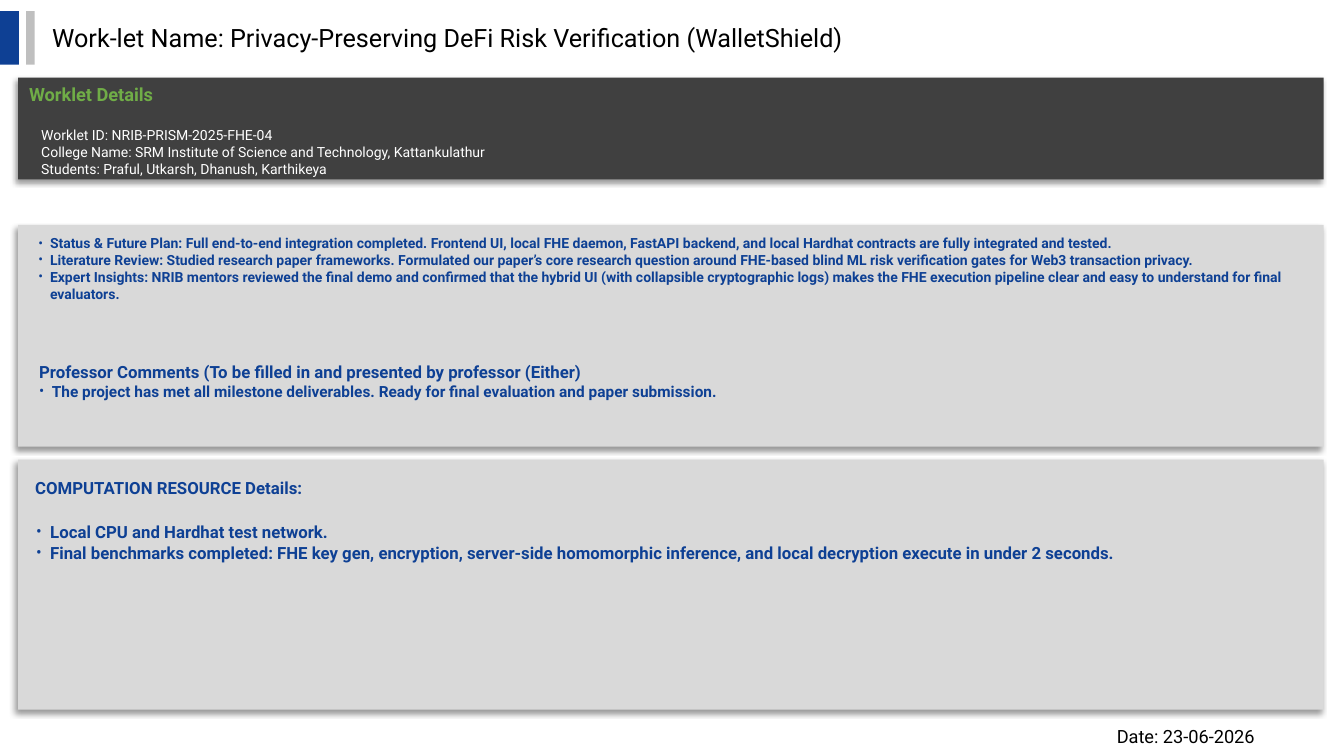
from lxml import etree
from pptx import Presentation
from pptx.dml.color import RGBColor
from pptx.enum import shapes, text
from pptx.oxml import ns
from pptx.util import Pt

FONT = "Roboto"
COLORS = {
    "blue": "0E4094", "silver": "BFBFBF", "charcoal": "404040", "panel": "D9D9D9",
    "green": "70AD47", "white": "FFFFFF", "black": "000000",
}


def color(name):
    return RGBColor.from_string(COLORS[name])


def add_bar(slide, box, fill):
    bar = slide.shapes.add_shape(shapes.MSO_SHAPE.RECTANGLE, *map(Pt, box))
    bar.shadow.inherit = False
    bar.fill.solid()
    bar.fill.fore_color.rgb = color(fill)
    bar.line.fill.background()
    return bar


def add_panel(slide, box, fill):
    """Borderless rectangle with a soft shadow to the lower left."""
    panel = add_bar(slide, box, fill)
    effects = panel.element.spPr.find(ns.qn("a:effectLst"))
    shadow = etree.SubElement(effects, ns.qn("a:outerShdw"), blurRad=str(Pt(4)), dist=str(Pt(3)),
                              dir=str(135 * 60000), algn="tr", rotWithShape="0")
    tint = etree.SubElement(shadow, ns.qn("a:srgbClr"), val=COLORS["black"])
    etree.SubElement(tint, ns.qn("a:alpha"), val="40000")
    return panel


def set_bullet(paragraph, size):
    """Hang the paragraph on a round bullet, with a gap in step with the text size."""
    hang = Pt(round(size * 0.83, 1))
    props = paragraph._p.get_or_add_pPr()
    props.set("marL", str(hang))
    props.set("indent", str(-hang))
    etree.SubElement(props, ns.qn("a:buFont"), typeface=FONT)
    etree.SubElement(props, ns.qn("a:buChar"), char="•")


def write(holder, lines, ink, size, bold=False, bullets=False, anchor="TOP", insets=(7.2, 3.6)):
    """Add lines to a shape; insets are left and top."""
    frame = holder.text_frame
    frame.word_wrap = True
    frame.vertical_anchor = text.MSO_ANCHOR[anchor]
    frame.margin_left, frame.margin_top = map(Pt, insets)
    frame.margin_right, frame.margin_bottom = Pt(7.2), Pt(3.6)
    for index, line in enumerate(lines):
        paragraph = frame.paragraphs[0] if index == 0 else frame.add_paragraph()
        paragraph.alignment = text.PP_ALIGN.LEFT
        if bullets:
            set_bullet(paragraph, size)
        run = paragraph.add_run()
        run.text = line
        run.font.name, run.font.size, run.font.bold = FONT, Pt(size), bold
        run.font.color.rgb = color(ink)


def add_text(slide, box, lines, ink, size, **style):
    write(slide.shapes.add_textbox(*map(Pt, box)), lines, ink, size, **style)


def add_header(slide, box, title):
    left, top, width, height = box
    add_bar(slide, (left, top, 13.5, height), "blue")
    add_bar(slide, (left + 18.7, top, 6, height), "silver")
    add_text(slide, (left + 30.2, top, width - 30.2, height), [title], "black", 18, anchor="MIDDLE")


def add_worklet_details(slide, box, heading, details):
    left, top, width, height = box
    add_panel(slide, box, "charcoal")
    add_text(slide, (left + 0.7, top + 0.8, 173, 28.8), [heading], "green", 13, bold=True)
    add_text(slide, (left + 9.4, top + 31.7, width - 32, height - 33), details, "white", 10)


def add_status(slide, box, updates, comment_heading, comments):
    left, top, width, height = box
    panel = add_panel(slide, box, "panel")
    write(panel, updates, "blue", 10, bold=True, bullets=True, insets=(14.4, 7.2))
    inner_left, inner_width = left + 7.9, width - 18
    add_text(slide, (inner_left, top + 95, inner_width, 20), [comment_heading], "blue", 12,
             bold=True, insets=(7.2, 2.9))
    add_text(slide, (inner_left, top + 109, inner_width, 25), comments, "blue", 11,
             bold=True, bullets=True)


def add_resources(slide, box, heading, resources):
    left, top, width, height = box
    add_panel(slide, box, "panel")
    add_text(slide, (left + 5, top + 9.4, 254, 28.8), [heading], "blue", 12, bold=True)
    add_text(slide, (left + 5.8, top + 41.8, width - 32, 59), resources, "blue", 12,
             bold=True, bullets=True, insets=(7.2, 2.9))


def main():
    deck = Presentation()
    deck.slide_width, deck.slide_height = Pt(960), Pt(540)
    slide = deck.slides.add_slide(deck.slide_layouts[6])
    left, width = 13, 932.4

    add_header(slide, (0, 8, 819, 38.2),
               "Work-let Name: Privacy-Preserving DeFi Risk Verification (WalletShield)")
    add_worklet_details(slide, (left, 55.4, width, 72.7), "Worklet Details", [
        "Worklet ID: NRIB-PRISM-2025-FHE-04",
        "College Name: SRM Institute of Science and Technology, Kattankulathur",
        "Students: Praful, Utkarsh, Dhanush, Karthikeya",
    ])
    add_status(slide, (left, 160.6, width, 158.4), [
        "Status & Future Plan: Full end-to-end integration completed. Frontend UI, local FHE "
        "daemon, FastAPI backend, and local Hardhat contracts are fully integrated and tested.",
        "Literature Review: Studied research paper frameworks. Formulated our paper’s core "
        "research question around FHE-based blind ML risk verification gates for Web3 "
        "transaction privacy.",
        "Expert Insights: NRIB mentors reviewed the final demo and confirmed that the hybrid UI "
        "(with collapsible cryptographic logs) makes the FHE execution pipeline clear and easy "
        "to understand for final evaluators.",
    ], "Professor Comments (To be filled in and presented by professor (Either)", [
        "The project has met all milestone deliverables. Ready for final evaluation and paper "
        "submission.",
    ])
    add_resources(slide, (left, 328.3, width, 178.6), "COMPUTATION RESOURCE Details:", [
        "Local CPU and Hardhat test network.",
        "Final benchmarks completed: FHE key gen, encryption, server-side homomorphic "
        "inference, and local decryption execute in under 2 seconds.",
    ])
    add_text(slide, (790.6, 511.2, 169.2, 28.8), ["Date: 23-06-2026"], "black", 13,
             anchor="MIDDLE")
    deck.save("out.pptx")


if __name__ == "__main__":
    main()
